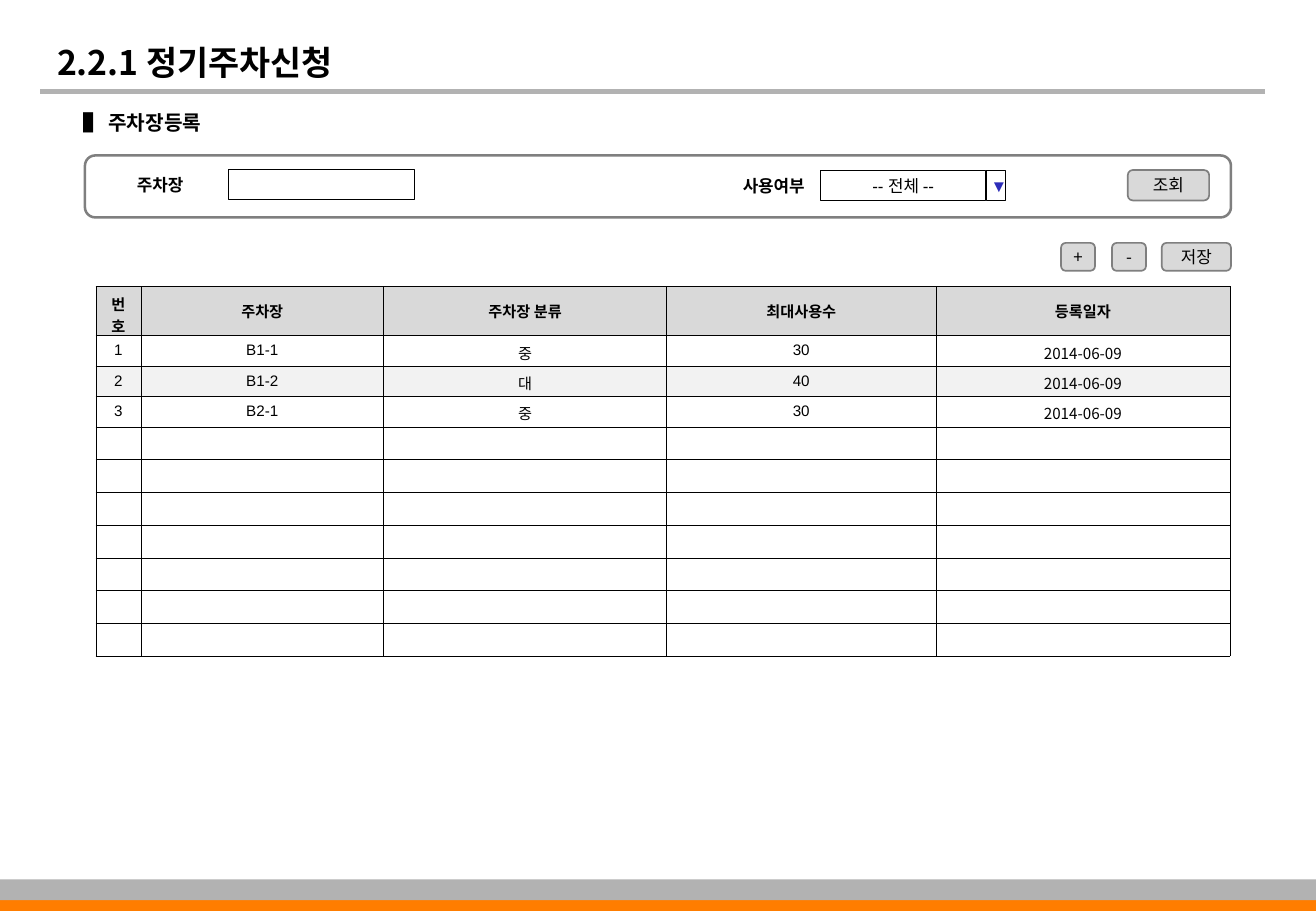
from lxml import etree
from pptx import Presentation
from pptx.dml.color import RGBColor
from pptx.enum import shapes, text
from pptx.oxml import parse_xml
from pptx.oxml.ns import nsdecls, qn
from pptx.util import Inches, Pt

BLACK = RGBColor(0x00, 0x00, 0x00)
WHITE = RGBColor(0xFF, 0xFF, 0xFF)
ORANGE = RGBColor(0xFF, 0x7D, 0x00)
SILVER = RGBColor(0xB2, 0xB2, 0xB2)
GRAY = RGBColor(0x7F, 0x7F, 0x7F)
LIGHT = RGBColor(0xD9, 0xD9, 0xD9)
PALE = RGBColor(0xF2, 0xF2, 0xF2)
BLUE = RGBColor(0x2D, 0x2D, 0xB9)
ARIAL = "Arial"
NOTO = "Noto Sans CJK KR"
RECT = shapes.MSO_SHAPE.RECTANGLE
ROUND = shapes.MSO_SHAPE.ROUNDED_RECTANGLE


def write(tf, words, size, font=ARIAL, color=BLACK, bold=False, align=text.PP_ALIGN.CENTER):
    tf.text = words
    p = tf.paragraphs[0]
    p.alignment = align
    for r in p.runs:
        r.font.size = Pt(size)
        r.font.name = font
        r.font.bold = bold
        r.font.color.rgb = color
        ea = etree.SubElement(r.font._element, qn("a:ea"))
        ea.set("typeface", NOTO)
    return p


def add_box(kind, x, y, w, h, fill=None, line=None, width=1):
    sp = s.shapes.add_shape(kind, Inches(x), Inches(y), Inches(w), Inches(h))
    sp.shadow.inherit = False
    if fill is None:
        sp.fill.background()
    else:
        sp.fill.solid()
        sp.fill.fore_color.rgb = fill
    if line is None:
        sp.line.fill.background()
    else:
        sp.line.color.rgb = line
        sp.line.width = Pt(width)
    return sp


prs = Presentation()
prs.slide_width = Inches(10.84)
prs.slide_height = Inches(7.5)
s = prs.slides.add_slide(prs.slide_layouts[5])

rule = s.shapes.add_connector(shapes.MSO_CONNECTOR.STRAIGHT, Inches(0.33), Inches(0.75), Inches(10.42), Inches(0.75))
rule.line.color.rgb = SILVER
rule.line.width = Pt(3)
etree.SubElement(rule._element.spPr, qn("a:effectLst"))
add_box(RECT, 0, 7.34, 10.84, 0.16, ORANGE)
add_box(RECT, 0, 7.24, 10.84, 0.17, SILVER)

title = s.shapes.title
title.left, title.top = Inches(0.37), Inches(0.23)
title.width, title.height = Inches(8.06), Inches(0.5)
write(title.text_frame, "2.2.1 정기주차신청", 20, NOTO, bold=True, align=text.PP_ALIGN.LEFT)
title.text_frame.vertical_anchor = text.MSO_ANCHOR.BOTTOM
title.text_frame.auto_size = text.MSO_AUTO_SIZE.NONE

add_box(ROUND, 0.7, 1.28, 9.44, 0.51, line=GRAY, width=1.5)

labels = [
    ("▌ 주차장등록", 0.59, 0.86, 3.96, 0.3, 12),
    ("주차장", 1.03, 1.39, 0.58, 0.27, 10),
    ("사용여부", 6.02, 1.4, 0.71, 0.27, 10),
]
for words, x, y, w, h, size in labels:
    tb = s.shapes.add_textbox(Inches(x), Inches(y), Inches(w), Inches(h))
    tb.text_frame.word_wrap = size == 12
    write(tb.text_frame, words, size, bold=True, align=text.PP_ALIGN.LEFT)

add_box(RECT, 1.88, 1.39, 1.53, 0.25, WHITE, BLACK, 0.25)
selector = [
    ("-- 전체 --", 6.76, 1.36, WHITE, BLACK),
    ("▼", 8.12, 0.16, None, BLUE),
]
for words, x, w, fill, color in selector:
    tf = add_box(RECT, x, 1.4, w, 0.25, fill, BLACK, 0.25).text_frame
    tf.margin_left = tf.margin_right = tf.margin_top = tf.margin_bottom = Inches(0.04)
    tf.vertical_anchor = text.MSO_ANCHOR.MIDDLE
    write(tf, words, 10, color=color).space_before = Pt(6.2)

buttons = [
    ("조회", 9.29, 1.4, 0.67, 0.25, ARIAL),
    ("저장", 9.57, 2, 0.57, 0.23, NOTO),
    ("-", 9.16, 2, 0.28, 0.23, NOTO),
    ("+", 8.74, 2, 0.28, 0.23, NOTO),
]
for words, x, y, w, h, font in buttons:
    tf = add_box(ROUND, x, y, w, h, LIGHT, GRAY).text_frame
    tf.margin_left = tf.margin_right = 0
    tf.vertical_anchor = text.MSO_ANCHOR.MIDDLE
    write(tf, words, 10, font)

rows = [
    ("번호", "주차장", "주차장 분류", "최대사용수", "등록일자"),
    ("1", "B1-1", "중", "30", "2014-06-09"),
    ("2", "B1-2", "대", "40", "2014-06-09"),
    ("3", "B2-1", "중", "30", "2014-06-09"),
] + [("",) * 5] * 7
col_widths = [0.37, 2, 2.33, 2.22, 2.42]
row_heights = [0.4] + [0.25] * 3 + [0.27] * 7
row_fills = {0: LIGHT, 2: PALE}
col_fonts = [ARIAL, ARIAL, NOTO, ARIAL, NOTO]

frame = s.shapes.add_table(len(rows), len(col_widths), Inches(0.79), Inches(2.36),
                           Inches(sum(col_widths)), Inches(sum(row_heights)))
table = frame.table
table.first_row = False
table.horz_banding = False
for column, w in zip(table.columns, col_widths):
    column.width = Inches(w)
for i, (row, h) in enumerate(zip(table.rows, row_heights)):
    row.height = Inches(h)
    for j, cell in enumerate(row.cells):
        for side in ("lnL", "lnR", "lnT", "lnB"):
            cell._tc.get_or_add_tcPr().append(parse_xml(
                f'<a:{side} {nsdecls("a")} w="2921"><a:solidFill>'
                f'<a:srgbClr val="{BLACK}"/></a:solidFill></a:{side}>'))
        if i in row_fills:
            cell.fill.solid()
            cell.fill.fore_color.rgb = row_fills[i]
        else:
            cell.fill.background()
        cell.vertical_anchor = text.MSO_ANCHOR.MIDDLE
        if i > 0:
            cell.margin_left = cell.margin_right = Inches(0.04)
        p = write(cell.text_frame, rows[i][j], 9, ARIAL if i == 0 else col_fonts[j], bold=i == 0)
        if not rows[i][j]:
            etree.SubElement(p._p, qn("a:endParaRPr")).set("sz", "900")

prs.save("out.pptx")
